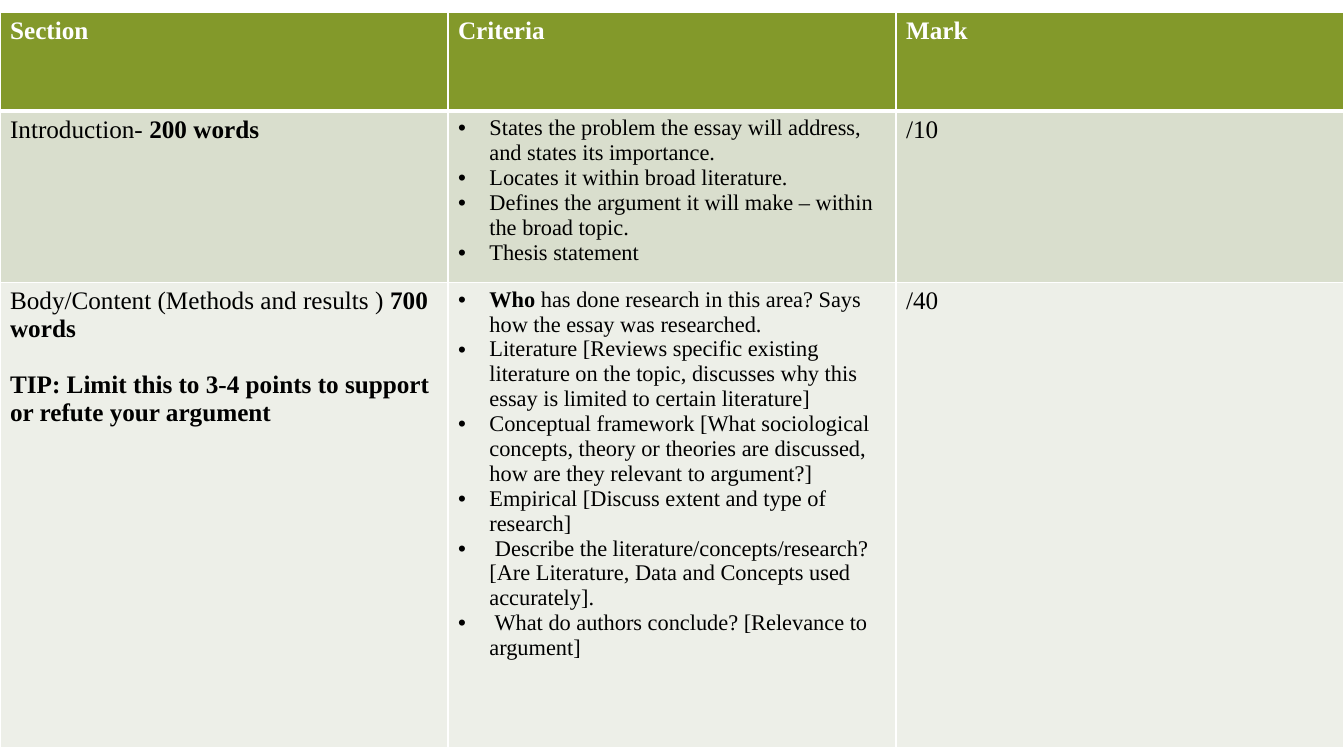
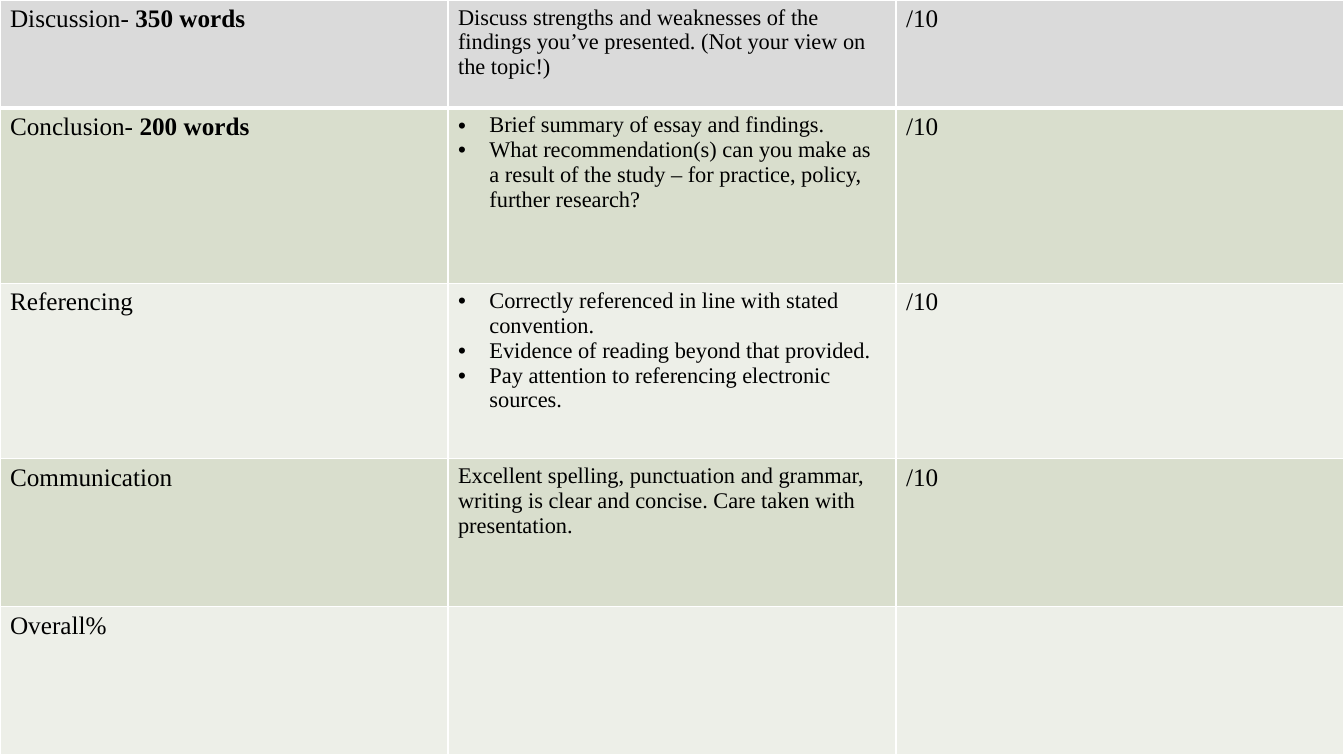
from lxml.etree import SubElement
from pptx import Presentation
from pptx.dml.color import RGBColor
from pptx.oxml.ns import qn
from pptx.util import Cm, Pt

COLOURS = {
    "header": "83992A",
    "band_dark": "D9DECD",
    "band_light": "EDEFE8",
    "band_grey": "DADADA",
    "border": "FFFFFF",
    "header_text": "FFFFFF",
    "body_text": "000000",
}
FONT = "Times New Roman"
LABEL_SIZE, CRITERIA_SIZE = 18, 16
BULLET_INDENT = Cm(0.79)
TIP_GAP = Pt(20)
THIN, THICK = Pt(1), Pt(3)
PLAIN_TABLE = {"first_row": False, "horz_banding": False}

# Each row: height in cm, fill, then section, criteria and mark.
# Text between asterisks is bold; a list of criteria is bulleted.
FIRST_ROWS = [
    (2.49, "header", "*Section*", "*Criteria*", "*Mark*"),
    (4.32, "band_dark", "Introduction- *200 words*", [
        "States the problem the essay will address, and states its importance.",
        "Locates it within broad literature.",
        "Defines the argument it will make – within the broad topic.",
        "Thesis statement",
    ], "/10"),
    (11.73, "band_light",
     "Body/Content (Methods and results ) *700 words*\n"
     "*TIP: Limit this to 3-4 points to support or refute your argument*", [
         "*Who *has done research in this area? Says how the essay was researched.",
         "Literature [Reviews specific existing literature on the topic, "
         "discusses why this essay is limited to certain literature]",
         "Conceptual framework [What sociological concepts, theory or theories "
         "are discussed, how are they relevant to argument?]",
         "Empirical [Discuss extent and type of research]",
         " Describe the literature/concepts/research? "
         "[Are Literature, Data and Concepts used accurately].",
         " What do authors conclude? [Relevance to argument]",
     ], "/40"),
]
SECOND_ROWS = [
    (2.72, "band_grey", "Discussion- *350 words*",
     "Discuss strengths and weaknesses of the findings you’ve presented. "
     "(Not your view on the topic!)", "/10"),
    (4.42, "band_dark", "Conclusion- *200 words*", [
        "Brief summary of essay and findings.",
        "What recommendation(s) can you make as a result of the study – "
        "for practice, policy, further research?",
    ], "/10"),
    (4.42, "band_light", "Referencing", [
        "Correctly referenced in line with stated convention.",
        "Evidence of reading beyond that provided.",
        "Pay attention to referencing electronic sources.",
    ], "/10"),
    (3.73, "band_dark", "Communication",
     "Excellent spelling, punctuation and grammar, writing is clear and "
     "concise. Care taken with presentation.", "/10"),
    (3.73, "band_light", "Overall%", "", ""),
]


def rgb(name):
    return RGBColor.from_string(COLOURS[name])


def set_attributes(target, values):
    for name, value in values.items():
        setattr(target, name, value)


def add_runs(paragraph, text, size, colour):
    """Write text, switching bold on and off at each asterisk."""
    for index, part in enumerate(text.split("*")):
        if part:
            run = paragraph.add_run()
            run.text = part
            set_attributes(run.font, {"name": FONT, "size": Pt(size), "bold": index % 2 == 1})
            run.font.color.rgb = rgb(colour)


def add_bullet(paragraph):
    properties = paragraph._p.get_or_add_pPr()
    properties.set("marL", str(BULLET_INDENT))
    properties.set("indent", str(-BULLET_INDENT))
    SubElement(properties, qn("a:buFont"), typeface="Arial")
    SubElement(properties, qn("a:buChar"), char="•")


def fill_text(cell, content, size, colour):
    bulleted = isinstance(content, list)
    lines = content if bulleted else content.split("\n")
    frame = cell.text_frame
    for index, line in enumerate(lines):
        paragraph = frame.add_paragraph() if index else frame.paragraphs[0]
        if bulleted:
            add_bullet(paragraph)
        elif index:
            paragraph.space_before = TIP_GAP
        add_runs(paragraph, line, size, colour)


def style_cell(cell, fill, top, bottom):
    properties = cell._tc.get_or_add_tcPr()
    for side, width in (("L", THIN), ("R", THIN), ("T", top), ("B", bottom)):
        line = SubElement(properties, qn(f"a:ln{side}"), w=str(width))
        solid = SubElement(line, qn("a:solidFill"))
        SubElement(solid, qn("a:srgbClr"), val=COLOURS["border"])
    cell.fill.solid()
    cell.fill.fore_color.rgb = rgb(fill)


def add_marking_table(presentation, top, rows):
    slide = presentation.slides.add_slide(presentation.slide_layouts[6])
    width = presentation.slide_width
    height = Cm(sum(row[0] for row in rows))
    table = slide.shapes.add_table(len(rows), 3, 0, top, width, height).table
    set_attributes(table, PLAIN_TABLE)
    for column in table.columns:
        column.width = width // 3

    for row_index, (row_height, fill, *contents) in enumerate(rows):
        table.rows[row_index].height = Cm(row_height)
        is_header = fill == "header"
        colour = "header_text" if is_header else "body_text"
        # A thick rule separates the first row from the rest
        upper = THICK if row_index == 1 else THIN
        lower = THICK if row_index == 0 else THIN
        for column_index, content in enumerate(contents):
            cell = table.cell(row_index, column_index)
            is_criteria = column_index == 1 and not is_header
            style_cell(cell, fill, upper, lower)
            fill_text(cell, content, CRITERIA_SIZE if is_criteria else LABEL_SIZE, colour)


def main():
    presentation = Presentation()
    set_attributes(presentation, {"slide_width": Cm(33.87), "slide_height": Cm(19.05)})
    add_marking_table(presentation, Cm(0.3), FIRST_ROWS)
    add_marking_table(presentation, Cm(0), SECOND_ROWS)
    presentation.save("out.pptx")


if __name__ == "__main__":
    main()
